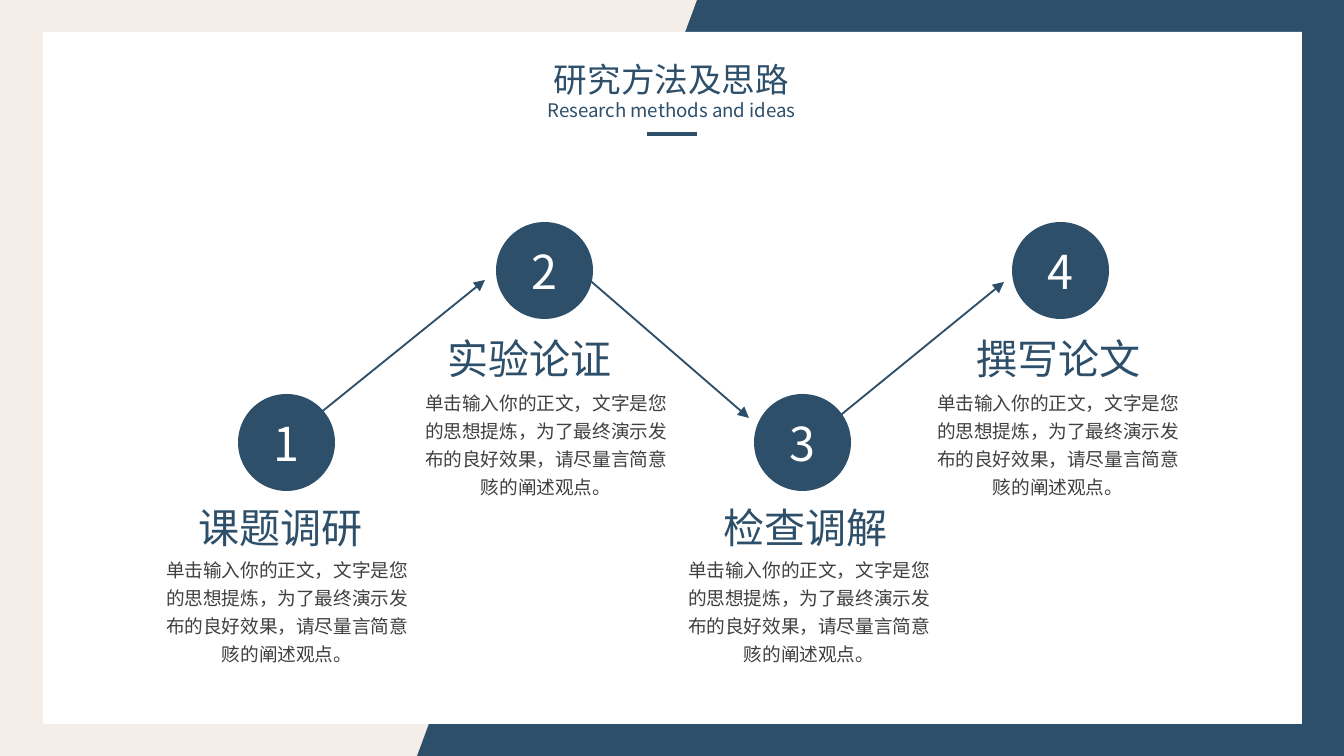
"""Build a slide with four numbered research steps joined by arrows."""
from lxml import etree
from pptx import Presentation
from pptx import util as u
from pptx.dml.color import RGBColor
from pptx.enum import shapes, text
from pptx.oxml.ns import qn

NAVY = RGBColor(0x2D, 0x4F, 0x6A)
CREAM = RGBColor(0xF5, 0xED, 0xE7)
WHITE = RGBColor(0xFF, 0xFF, 0xFF)
PALE = RGBColor(0xF7, 0xF7, 0xF7)
GREY = RGBColor(0x40, 0x40, 0x40)
FONT = "Noto Sans CJK JP"
PX = 914400 / 134.4
WIDTH, HEIGHT = 1344, 756

HEADING = [("研究方法及思路", 18), ("Research methods and ideas", 10)]
BODY = "单击输入你的正文，文字是您的思想提炼，为了最终演示发布的良好效果，请尽量言简意赅的阐述观点。"
STEPS = [
    ("课题调研", "low", 165, 151),
    ("实验论证", "high", 414, 410),
    ("检查调解", "low", 690, 673),
    ("撰写论文", "high", 943, 922),
]
ROWS = {"low": (394, 496, 547), "high": (222, 327, 380)}
ARROWS = [(319, 414, 485, 280), (586, 277, 749, 418), (831, 423, 1004, 282)]
CORNER = [(697, 0), (417, HEIGHT), (0, HEIGHT)]
CIRCLE_LEFT, CIRCLE_STEP, CIRCLE_SIZE = 238, 258, 97


def px(*values):
    return [u.Emu(round(value * PX)) for value in values]


def paint(shape, color):
    shape.shadow.inherit = False
    shape.fill.solid()
    shape.fill.fore_color.rgb = color
    shape.line.fill.background()


def add_block(slide, kind, box, color):
    shape = slide.shapes.add_shape(kind, *px(*box))
    paint(shape, color)
    return shape


def write(frame, lines, color, spacing=None):
    frame.word_wrap = True
    for index, (content, size) in enumerate(lines):
        paragraph = frame.add_paragraph() if index else frame.paragraphs[0]
        paragraph.alignment = text.PP_ALIGN.CENTER
        if spacing:
            paragraph.line_spacing = u.Pt(spacing)
        run = paragraph.add_run()
        run.text = content
        run.font.size = u.Pt(size)
        run.font.color.rgb = color
        run.font.name = FONT
        etree.SubElement(run.font._element, qn("a:ea"), typeface=FONT)


def add_text(slide, box, lines, color, spacing=None):
    frame = slide.shapes.add_textbox(*px(*box)).text_frame
    write(frame, lines, color, spacing)


def add_line(slide, ends, weight, arrow=False):
    connector = slide.shapes.add_connector(shapes.MSO_CONNECTOR.STRAIGHT, *px(*ends))
    connector.line.color.rgb = NAVY
    connector.line.width = u.Pt(weight)
    if arrow:
        etree.SubElement(connector.line._get_or_add_ln(), qn("a:tailEnd"), type="triangle")
    etree.SubElement(connector._element.spPr, qn("a:effectLst"))


def add_backdrop(slide):
    slide.background.fill.solid()
    slide.background.fill.fore_color.rgb = PALE
    rectangle = shapes.MSO_SHAPE.RECTANGLE
    add_block(slide, rectangle, (0, 0, WIDTH, HEIGHT), NAVY)
    builder = slide.shapes.build_freeform(0, 0, scale=PX)
    builder.add_line_segments(CORNER, close=True)
    paint(builder.convert_to_shape(), CREAM)
    add_block(slide, rectangle, (43, 32, 1259, 692), WHITE)


def add_step(slide, index, step):
    title, row, title_left, body_left = step
    circle_top, title_top, body_top = ROWS[row]
    box = (CIRCLE_LEFT + index * CIRCLE_STEP, circle_top, CIRCLE_SIZE, CIRCLE_SIZE)
    circle = add_block(slide, shapes.MSO_SHAPE.OVAL, box, NAVY)
    circle.text_frame.vertical_anchor = text.MSO_ANCHOR.MIDDLE
    write(circle.text_frame, [(str(index + 1), 25)], WHITE)
    add_text(slide, (title_left, title_top, 231, 63), [(title, 22)], NAVY)
    add_text(slide, (body_left, body_top, 272, 126), [(BODY, 10)], GREY, 15)


def main():
    presentation = Presentation()
    presentation.slide_width, presentation.slide_height = px(WIDTH, HEIGHT)
    slide = presentation.slides.add_slide(presentation.slide_layouts[6])
    add_backdrop(slide)
    add_line(slide, (647, 134, 697, 134), 2.25)
    add_text(slide, (527, 52, 289, 78), HEADING, NAVY)
    for index, step in enumerate(STEPS):
        add_step(slide, index, step)
    for ends in ARROWS:
        add_line(slide, ends, 1, arrow=True)
    presentation.save("out.pptx")


if __name__ == "__main__":
    main()
